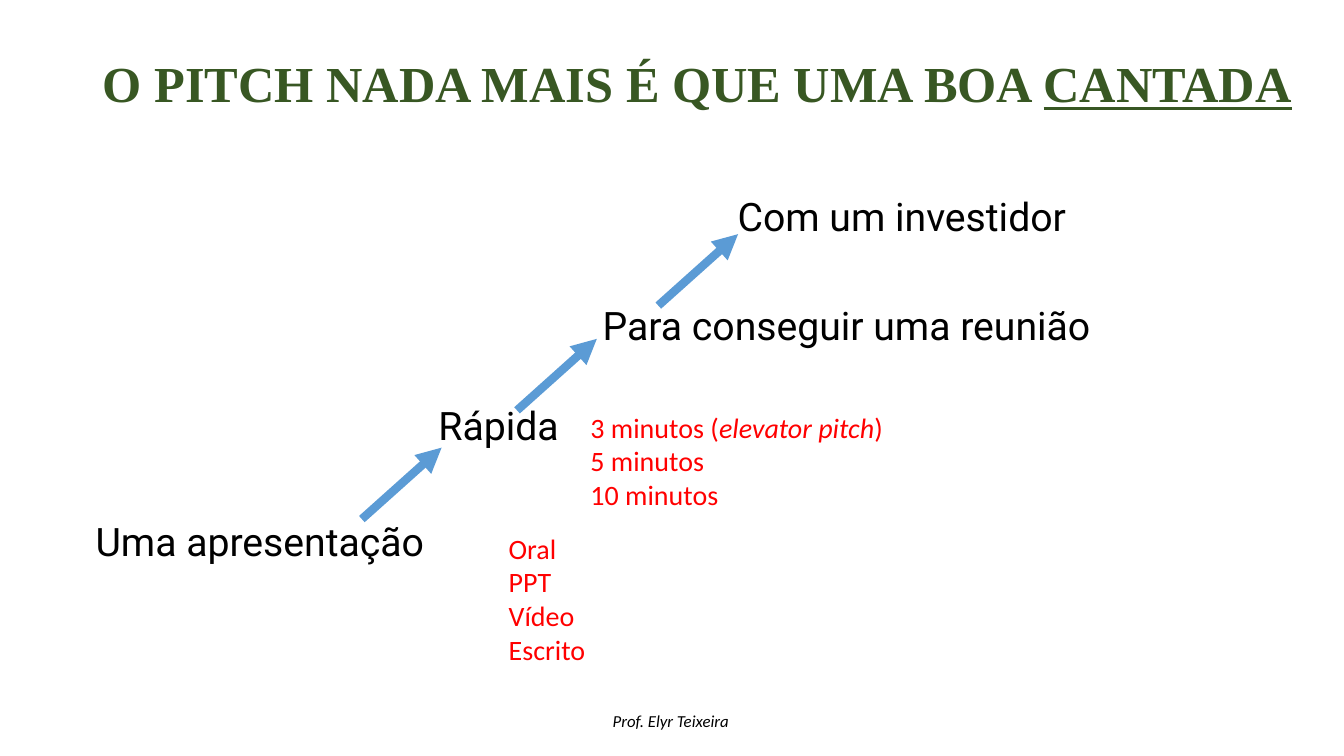
from lxml.etree import SubElement
from pptx import Presentation
from pptx.dml.color import RGBColor
from pptx.enum.shapes import MSO_CONNECTOR
from pptx.enum.text import MSO_ANCHOR, MSO_AUTO_SIZE
from pptx.oxml.ns import qn
from pptx.util import Cm, Pt

GREEN = RGBColor(0x38, 0x57, 0x23)
BLUE = RGBColor(0x5B, 0x9B, 0xD5)
RED = RGBColor(0xFF, 0x00, 0x00)
BLACK = RGBColor(0x00, 0x00, 0x00)

TITLE = {"name": "Times New Roman", "size": Pt(36), "bold": True, "color": GREEN}
STEP = {"name": "Roboto", "size": Pt(28), "color": BLACK}
DETAIL = {"name": "Calibri", "size": Pt(20), "color": RED}
FOOTER = {"name": "Calibri", "size": Pt(12), "italic": True, "color": BLACK}

STEPS = [
    ("Uma apresentação", 2.16, 12.9, 10.82),
    ("Rápida", 10.8, 9.98, 4.19),
    ("Para conseguir uma reunião", 14.94, 7.47, 16.28),
    ("Com um investidor", 18.34, 4.72, 10.85),
]
ARROW_STARTS = [(9.12, 13.08), (13.03, 10.34), (16.59, 7.7)]
ARROW_RUN, ARROW_RISE = 2.01, 1.8


class PitchSlide:
    def __init__(self, slide):
        self.shapes = slide.shapes

    def text(self, paragraphs, left, top, width, height, style):
        """Each paragraph is a list of (wording, extra font values) runs."""
        box = self.shapes.add_textbox(Cm(left), Cm(top), Cm(width), Cm(height))
        frame = box.text_frame
        frame.word_wrap = False
        frame.auto_size = MSO_AUTO_SIZE.SHAPE_TO_FIT_TEXT
        for index, runs in enumerate(paragraphs):
            paragraph = frame.add_paragraph() if index else frame.paragraphs[0]
            for wording, extra in runs:
                run = paragraph.add_run()
                run.text = wording
                for key, value in {**style, **extra}.items():
                    if key == "color":
                        run.font.color.rgb = value
                    else:
                        setattr(run.font, key, value)
        return frame

    def title(self, runs, left, top, width, height):
        frame = self.text([runs], left, top, width, height, TITLE)
        frame.word_wrap = True
        frame.auto_size = MSO_AUTO_SIZE.NONE
        frame.vertical_anchor = MSO_ANCHOR.MIDDLE
        frame.paragraphs[0].line_spacing = 0.9

    def arrow(self, left, bottom):
        arrow = self.shapes.add_connector(
            MSO_CONNECTOR.STRAIGHT, Cm(left), Cm(bottom),
            Cm(left + ARROW_RUN), Cm(bottom - ARROW_RISE))
        arrow.line.color.rgb = BLUE
        arrow.line.width = Pt(6)
        SubElement(arrow.line._get_or_add_ln(), qn("a:tailEnd"), type="triangle")
        SubElement(arrow._element.spPr, qn("a:effectLst"))


def main():
    presentation = Presentation()
    presentation.slide_width = Cm(33.87)
    presentation.slide_height = Cm(19.05)
    pitch = PitchSlide(presentation.slides.add_slide(presentation.slide_layouts[6]))

    pitch.text([[("Prof. Elyr Teixeira", {})]], 15.19, 17.78, 3.48, 0.76, FOOTER)
    pitch.title([("O PITCH NADA MAIS É QUE UMA BOA ", {}),
                 ("CANTADA", {"underline": True})], 2.34, 0.58, 31.55, 3.2)

    for wording, left, top, width in STEPS:
        pitch.text([[(wording, {})]], left, top, width, 1.45, STEP)
    for left, bottom in ARROW_STARTS:
        pitch.arrow(left, bottom)

    durations = [
        [("3 minutos (", {}), ("elevator pitch", {"italic": True}), (")", {})],
        [("5 minutos", {})],
        [("10 minutos", {})],
    ]
    formats = [[(wording, {})] for wording in ("Oral", "PPT", "Vídeo", "Escrito")]
    pitch.text(durations, 14.63, 10.21, 7.95, 2.82, DETAIL)
    pitch.text(formats, 12.57, 13.26, 2.46, 3.68, DETAIL)

    presentation.save("out.pptx")


if __name__ == "__main__":
    main()
